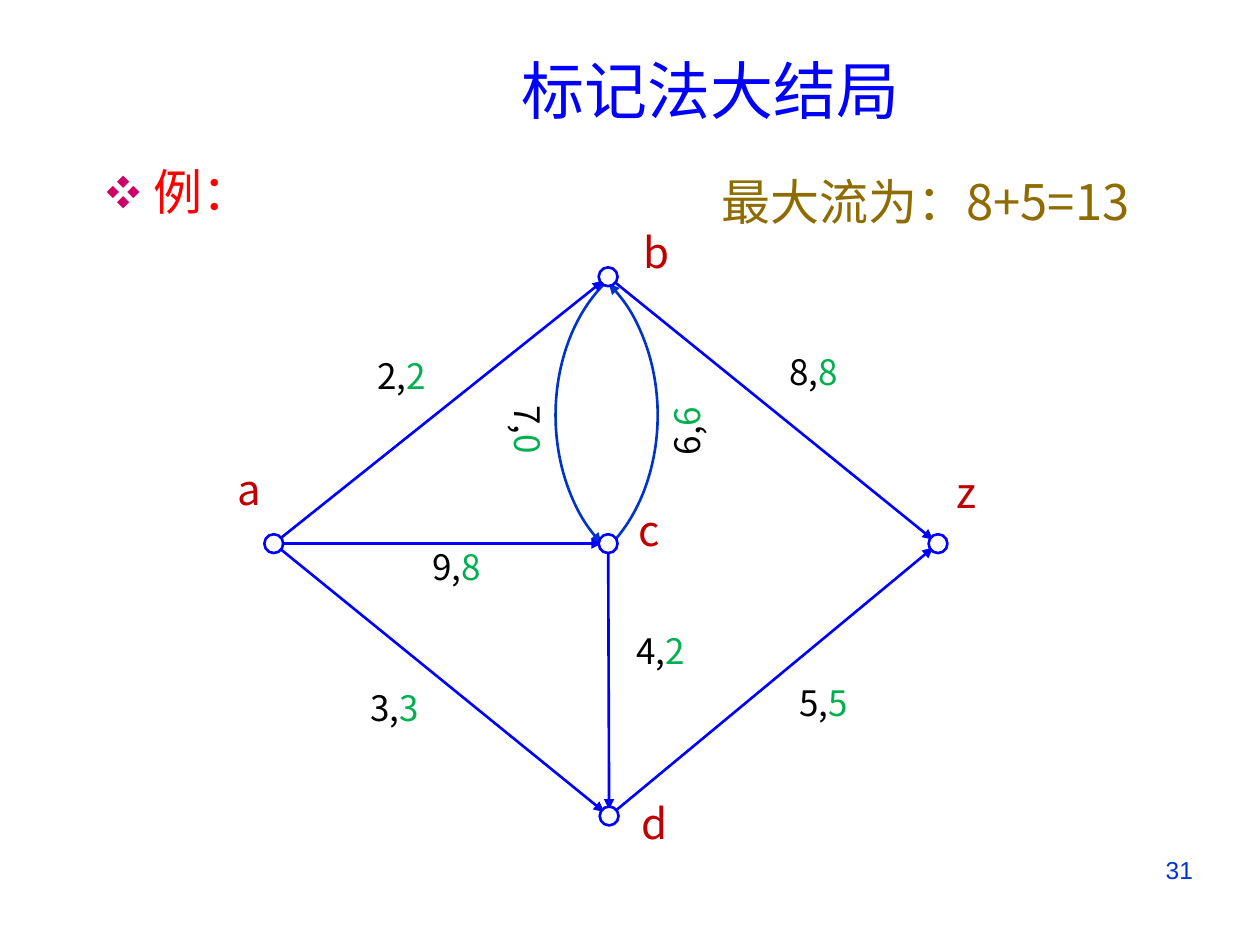
import math
import pptx
import pptx.util
import pptx.dml.color
import pptx.enum.shapes
import pptx.enum.text
import pptx.oxml
import pptx.oxml.ns
from lxml import etree

Cm, Pt = pptx.util.Cm, pptx.util.Pt
KIND = pptx.enum.shapes.MSO_SHAPE
ALIGN = pptx.enum.text.PP_ALIGN
ANCHOR = pptx.enum.text.MSO_ANCHOR
SANS = "Noto Sans CJK SC"
BLUE, NAVY, WINE, GREEN = "0000FF", "0033CC", "C00000", "00B050"

SIDE = 0.38     # node diameter
GAP = 0.13      # from arrow tip to node centre

# name: node centre, label centre
NODES = {
    "a": ((2.22, 7.02), (1.72, 5.92)),
    "b": ((8.96, 1.64), (9.93, 1.14)),
    "c": ((8.96, 7.02), (9.78, 6.74)),
    "d": ((8.98, 12.51), (9.9, 12.65)),
    "z": ((15.61, 7.02), (16.19, 5.97)),
}
# ends, capacity, flow, label centre
EDGES = [
    ("ab", 2, 2, (4.8, 3.63)),
    ("ac", 9, 8, (5.91, 7.49)),
    ("ad", 3, 3, (4.66, 10.33)),
    ("bz", 8, 8, (13.1, 3.55)),
    ("cd", 4, 2, (10.02, 9.17)),
    ("dz", 5, 5, (13.3, 10.23)),
]
# left, flipped, arrow end, capacity, flow, label centre, label turn
ARCS = [
    (7.9, True, "tailEnd", 7, 0, (7.36, 4.72), 90),
    (5.11, False, "headEnd", 6, 6, (10.53, 4.75), 270),
]


def paint(color):
    return pptx.dml.color.RGBColor.from_string(color)


def sub(node, tag, **attrs):
    return etree.SubElement(node, pptx.oxml.ns.qn(tag), attrs)


def write(frame, parts, size, align=ALIGN.LEFT, face=SANS):
    """Fill the first paragraph with (text, colour) parts."""
    par = frame.paragraphs[0]
    par.alignment = align
    for text, color in parts:
        run = par.add_run()
        run.text = text
        run.font.name, run.font.size = face, Pt(size)
        run.font.color.rgb = paint(color)
        sub(run.font._element, "a:ea", typeface=face)
    return par


def place(shape, box):
    shape.left, shape.top, shape.width, shape.height = map(Cm, box)


def stroke(shape, color, end=None):
    shape.line.color.rgb = paint(color)
    shape.line.width = Pt(1.5)
    if end:
        sub(shape.line._get_or_add_ln(), "a:" + end, type="triangle")


def label(group, mid, parts, size, turn=0):
    wide, high = 3.43, 2.29
    text = group.shapes.add_textbox(Cm(mid[0] - wide / 2), Cm(mid[1] - high / 2),
                                    Cm(wide), Cm(high))
    text.rotation = turn
    text.text_frame.word_wrap = True
    text.text_frame.vertical_anchor = ANCHOR.MIDDLE
    write(text.text_frame, parts, size, ALIGN.CENTER)


def head(slide, box):
    title = slide.shapes.title
    place(title, box)
    title.text_frame.vertical_anchor = ANCHOR.MIDDLE
    write(title.text_frame, [("标记法大结局", BLUE)], 36, ALIGN.CENTER)


def intro(slide, box):
    body = slide.placeholders[1]
    place(body, box)
    body.text_frame.auto_size = pptx.enum.text.MSO_AUTO_SIZE.NONE
    par = write(body.text_frame, [("例：", "FF0000")], 28)
    props = par._p.get_or_add_pPr()
    props.set("marL", str(Cm(0.95)))
    props.set("indent", str(-Cm(0.95)))
    sub(sub(props, "a:buClr"), "a:srgbClr", val="CC0066")
    sub(props, "a:buSzPct", val="70000")
    sub(props, "a:buFont", typeface=SANS)
    sub(props, "a:buChar", char="❖")


def note(slide, box, parts, size, align, face=SANS, before=0):
    text = slide.shapes.add_textbox(*map(Cm, box))
    text.text_frame.word_wrap = True
    par = write(text.text_frame, parts, size, align, face)
    par.space_before = Pt(before)


def graph(slide, box):
    """Flow network; node and label places are relative to the box."""
    left, top = box
    group = slide.shapes.add_group_shape()

    def spot(point):
        return left + point[0], top + point[1]

    def tag(mid, cap, flow, turn=0):
        label(group, spot(mid), [(f"{cap},", "000000"), (str(flow), GREEN)], 20, turn)

    # Curved edges between b and c
    for x, flip, end, cap, flow, mid, turn in ARCS:
        arc = group.shapes.add_shape(KIND.ARC, *map(Cm, spot((x, 1.14))),
                                     Cm(4.85), Cm(6.58))
        arc.adjustments[0], arc.adjustments[1] = 179.12, 35.92
        arc.shadow.inherit = False
        arc.fill.background()
        stroke(arc, NAVY, end)
        if flip:
            arc._element.spPr.xfrm.set("flipH", "1")
        tag(mid, cap, flow, turn)

    # Straight edges, stopping short of the target node
    for (tail, tip), cap, flow, mid in EDGES:
        start, goal = spot(NODES[tail][0]), spot(NODES[tip][0])
        part = 1 - GAP / math.dist(start, goal)
        stop = [s + (g - s) * part for s, g in zip(start, goal)]
        line = group.shapes.add_connector(pptx.enum.shapes.MSO_CONNECTOR.STRAIGHT,
                                          *map(Cm, (*start, *stop)))
        stroke(line, BLUE, "tailEnd")
        sub(line._element.spPr, "a:effectLst")
        tag(mid, cap, flow)

    # Nodes and their names
    for name, (mid, where) in NODES.items():
        x, y = spot(mid)
        dot = group.shapes.add_shape(KIND.OVAL, Cm(x - SIDE / 2), Cm(y - SIDE / 2),
                                     Cm(SIDE), Cm(SIDE))
        dot.shadow.inherit = False
        dot.fill.solid()
        dot.fill.fore_color.rgb = paint("FFFFFF")
        stroke(dot, BLUE)
        label(group, spot(where), [(name, WINE)], 24)


def main():
    deck = pptx.Presentation()
    deck.slide_width, deck.slide_height = Cm(25.4), Cm(19.05)
    slide = deck.slides.add_slide(deck.slide_layouts[1])
    head(slide, (4.09, 0.91, 20.47, 1.8))
    intro(slide, (1.9, 3.12, 3.81, 1.8))
    graph(slide, (3.3, 3.94))
    note(slide, (14.3, 3.33, 9.91, 1.8), [("最大流为：8+5=13", "8E6C00")], 28,
         ALIGN.LEFT, before=5.6)
    note(slide, (22.99, 17.12, 1.57, 0.91), [("31", NAVY)], 14, ALIGN.CENTER, "Arial")
    deck.save("out.pptx")


if __name__ == "__main__":
    main()
